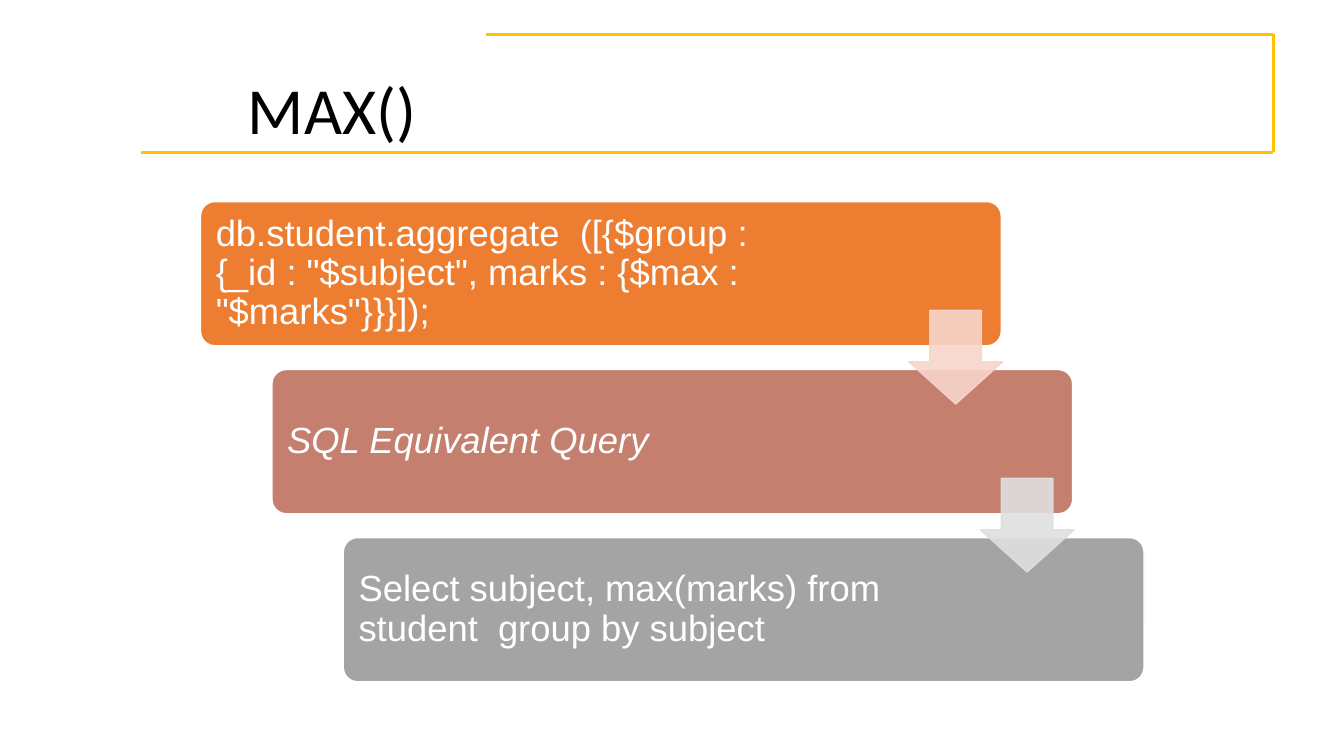
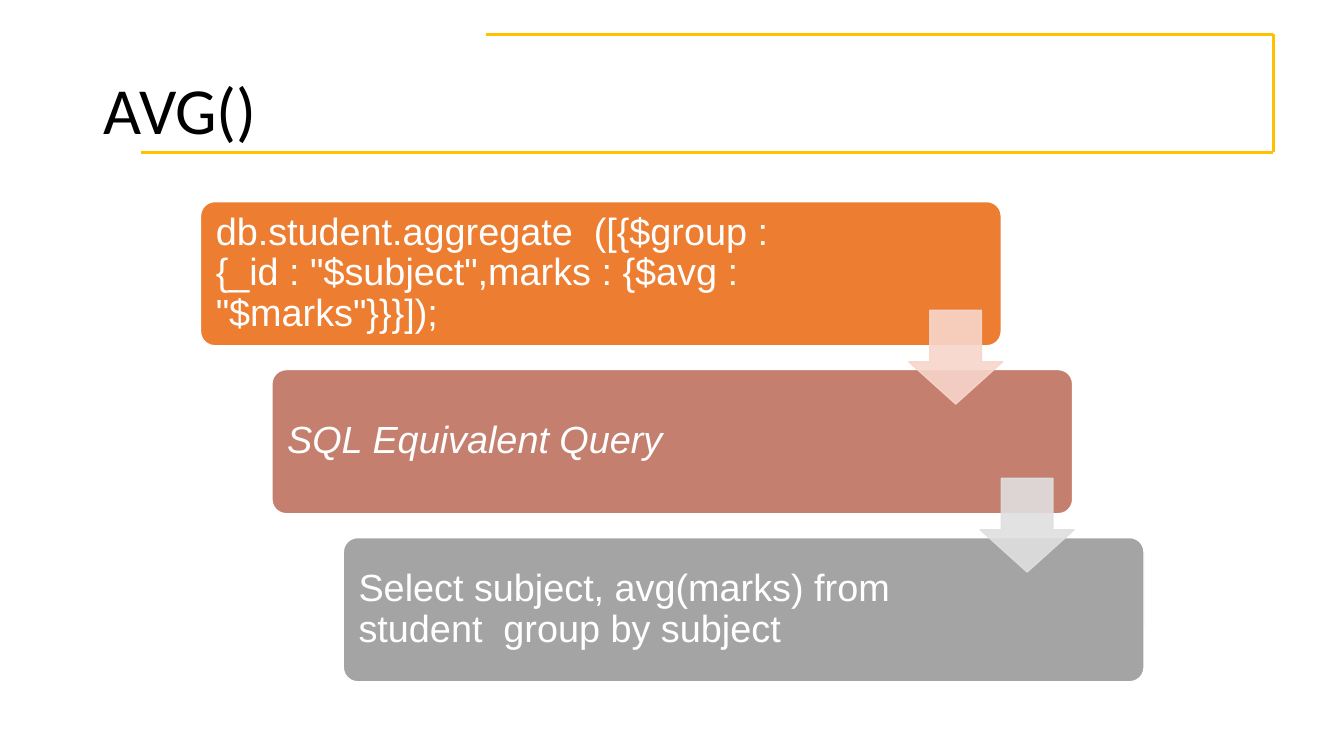
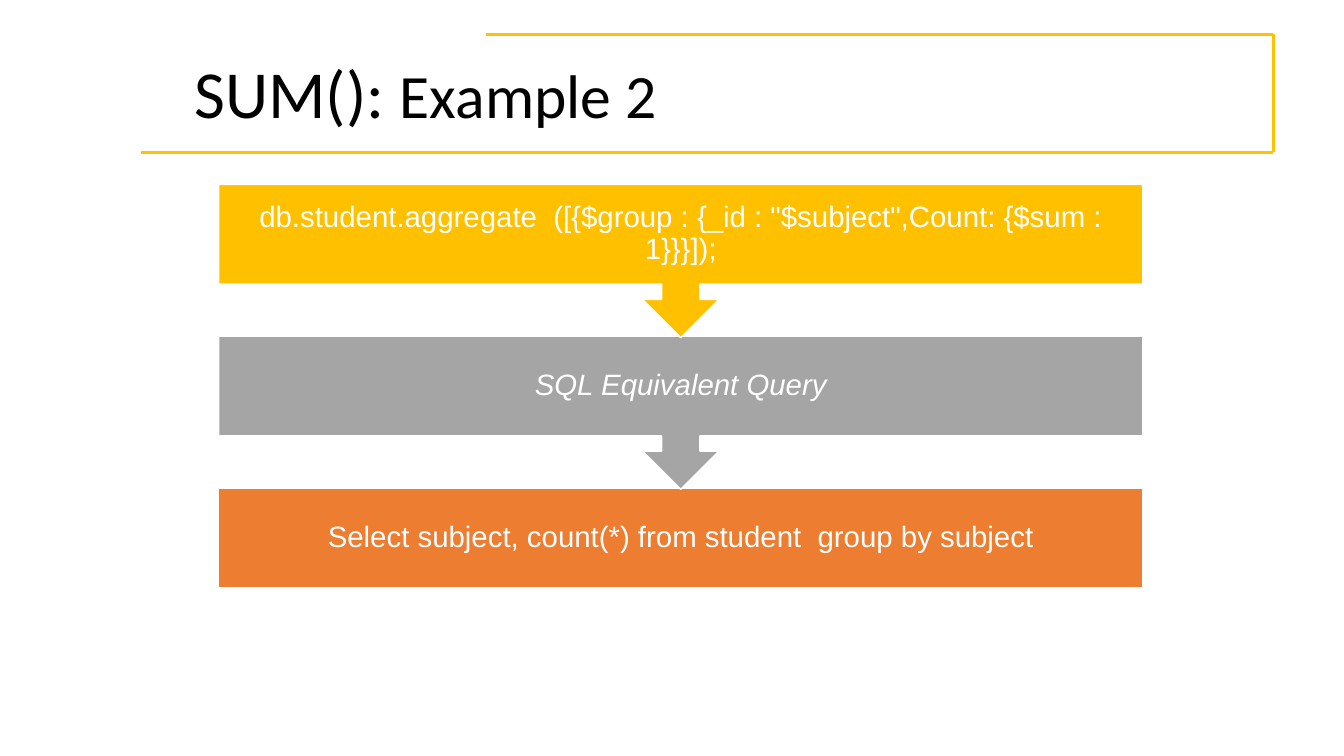
from lxml.etree import SubElement
from pptx import Presentation
from pptx.dml.color import RGBColor
from pptx.enum.shapes import MSO_CONNECTOR, MSO_SHAPE
from pptx.enum.text import MSO_ANCHOR, MSO_AUTO_SIZE, PP_ALIGN
from pptx.oxml.ns import qn
from pptx.util import Pt

BLACK = RGBColor(0x00, 0x00, 0x00)
WHITE = RGBColor(0xFF, 0xFF, 0xFF)
FRAME_GOLD = RGBColor(0xFF, 0xC1, 0x00)
GOLD = RGBColor(0xFF, 0xC0, 0x00)
ORANGE = RGBColor(0xED, 0x7D, 0x31)
ROSE = RGBColor(0xC4, 0x7F, 0x6E)
STEP_GRAY = RGBColor(0xA4, 0xA4, 0xA4)
FLOW_GRAY = RGBColor(0xA5, 0xA5, 0xA5)
PALE_ROSE = RGBColor(0xF7, 0xD5, 0xCB)
PALE_GRAY = RGBColor(0xDF, 0xDF, 0xDF)

TITLE_FONT = "Calibri"
BODY_FONT = "Arial"
SQL_HEADING = "SQL Equivalent Query"

# Regions as left, top, width, height in points
STAIRCASE_BOX = (143.2, 144, 674, 343)
FLOW_BOX = (156.2, 131.8, 660.2, 288)


def add_run(paragraph, text, size, font, color, italic=False):
    run = paragraph.add_run()
    run.text = text
    run.font.size = Pt(size)
    run.font.name = font
    run.font.color.rgb = color
    run.font.italic = italic


def set_frame(text_frame, margins):
    """Margins are left, top, right, bottom in points."""
    text_frame.word_wrap = True
    text_frame.auto_size = MSO_AUTO_SIZE.NONE
    text_frame.vertical_anchor = MSO_ANCHOR.MIDDLE
    (text_frame.margin_left, text_frame.margin_top,
     text_frame.margin_right, text_frame.margin_bottom) = map(Pt, margins)


def add_block(slide, kind, box, color, line_color, adjustments=()):
    shape = slide.shapes.add_shape(kind, *map(Pt, box))
    shape.shadow.inherit = False
    shape.fill.solid()
    shape.fill.fore_color.rgb = color
    shape.line.color.rgb = line_color
    shape.line.width = Pt(1)
    for index, value in enumerate(adjustments):
        shape.adjustments[index] = value
    return shape


def fill_text(shape, text, size, margins, alignment):
    set_frame(shape.text_frame, margins)
    paragraph = shape.text_frame.paragraphs[0]
    paragraph.alignment = alignment
    paragraph.line_spacing = 0.9
    add_run(paragraph, text, size, BODY_FONT, WHITE, italic=text == SQL_HEADING)


def add_title_frame(layout, slide):
    """Draw the open gold frame and place it in the shared layout."""
    left, start, right, top, bottom = 100.8, 347, 909.4, 24.5, 108.7
    corners = [(start, top), (right, top), (right, bottom), (left, bottom)]
    for begin, end in zip(corners, corners[1:]):
        connector = slide.shapes.add_connector(
            MSO_CONNECTOR.STRAIGHT, *map(Pt, begin + end))
        connector.line.color.rgb = FRAME_GOLD
        connector.line.width = Pt(2)
        SubElement(connector.element.spPr, qn("a:effectLst"))
        layout.shapes.element.append(connector.element)


def add_title(slide, box, runs, margins=(7.9, 3.6, 7.2, 3.6), line_spacing=0.9):
    title = slide.shapes.title
    title.left, title.top, title.width, title.height = map(Pt, box)
    set_frame(title.text_frame, margins)
    paragraph = title.text_frame.paragraphs[0]
    paragraph.alignment = PP_ALIGN.LEFT
    paragraph.line_spacing = line_spacing
    for text, size in runs:
        add_run(paragraph, text, size, TITLE_FONT, BLACK)


def add_staircase(slide, box, texts, size):
    """Three steps, each moved right and down, with arrows over the joints."""
    left, top, width, height = box
    shift, gap, arrow_size = 51, 17, 67
    step_width = width - 2 * shift
    step_height = (height - 2 * gap) / 3
    corners = [(left + i * shift, top + i * (step_height + gap)) for i in range(3)]

    # Steps: the right margin keeps the text clear of the arrows
    for corner, text, color, right_margin in zip(
            corners, texts, (ORANGE, ROSE, STEP_GRAY), (113, 124.5, 124.5)):
        step = add_block(slide, MSO_SHAPE.ROUNDED_RECTANGLE,
                         corner + (step_width, step_height), color, WHITE, [0.1])
        fill_text(step, text, size, (7.9, 7.9, right_margin, 7.9), PP_ALIGN.LEFT)

    # Translucent arrows
    for (x, y), color in zip(corners, (PALE_ROSE, PALE_GRAY)):
        arrow = add_block(slide, MSO_SHAPE.DOWN_ARROW,
                          (x + 506, y + 77.6, arrow_size, arrow_size),
                          color, color, [0.55, 0.45])
        for tint in list(arrow.element.spPr.iter(qn("a:srgbClr"))):
            SubElement(tint, qn("a:alpha"), val="90000")


def add_flow(slide, box, texts):
    """Two arrow callouts above a closing bar, laid from the bottom up."""
    left, top, width, height = box
    bar_height, callout_height = 71.2, 109.4
    pitch = (height - bar_height) / 2
    for index in reversed(range(3)):
        if index == 2:
            kind, block_height, adjustments = MSO_SHAPE.RECTANGLE, bar_height, []
        else:
            kind, block_height = MSO_SHAPE.DOWN_ARROW_CALLOUT, callout_height
            adjustments = [0.25, 0.25, 0.25, 0.65]
        block = add_block(slide, kind, (left, top + index * pitch, width, block_height),
                          (GOLD, FLOW_GRAY, ORANGE)[index], WHITE, adjustments)
        fill_text(block, texts[index], 21, (11.5,) * 4, PP_ALIGN.CENTER)


def main():
    presentation = Presentation()
    presentation.slide_width = Pt(960)
    presentation.slide_height = Pt(540)
    layout = presentation.slide_layouts[5]
    max_slide, avg_slide, sum_slide = [
        presentation.slides.add_slide(layout) for _ in range(3)]
    add_title_frame(layout, max_slide)

    # MAX()
    add_title(max_slide, (169.2, 28.8, 620.6, 104.4), [("MAX()", 47)])
    add_staircase(max_slide, STAIRCASE_BOX, [
        'db.student.aggregate  ([{$group : {_id : "$subject", marks : {$max : "$marks"}}}]);',
        SQL_HEADING,
        "Select subject, max(marks) from student  group by subject"], 26)

    # AVG()
    add_title(avg_slide, (66.2, 28.8, 828, 104.4), [("AVG()", 47)])
    add_staircase(avg_slide, STAIRCASE_BOX, [
        'db.student.aggregate  ([{$group : {_id : "$subject",marks : {$avg : "$marks"}}}]);',
        SQL_HEADING,
        "Select subject, avg(marks) from student  group by subject"], 27)

    # SUM()
    add_title(sum_slide, (138.2, 35.3, 336.2, 59.8),
              [("SUM(): ", 48), ("Example 2", 44)], (0.7, 0.7, 0, 0), 1.0)
    add_flow(sum_slide, FLOW_BOX, [
        'db.student.aggregate  ([{$group : {_id : "$subject",Count: {$sum : 1}}}]);',
        SQL_HEADING,
        "Select subject, count(*) from student  group by subject"])

    presentation.save("out.pptx")


if __name__ == "__main__":
    main()
